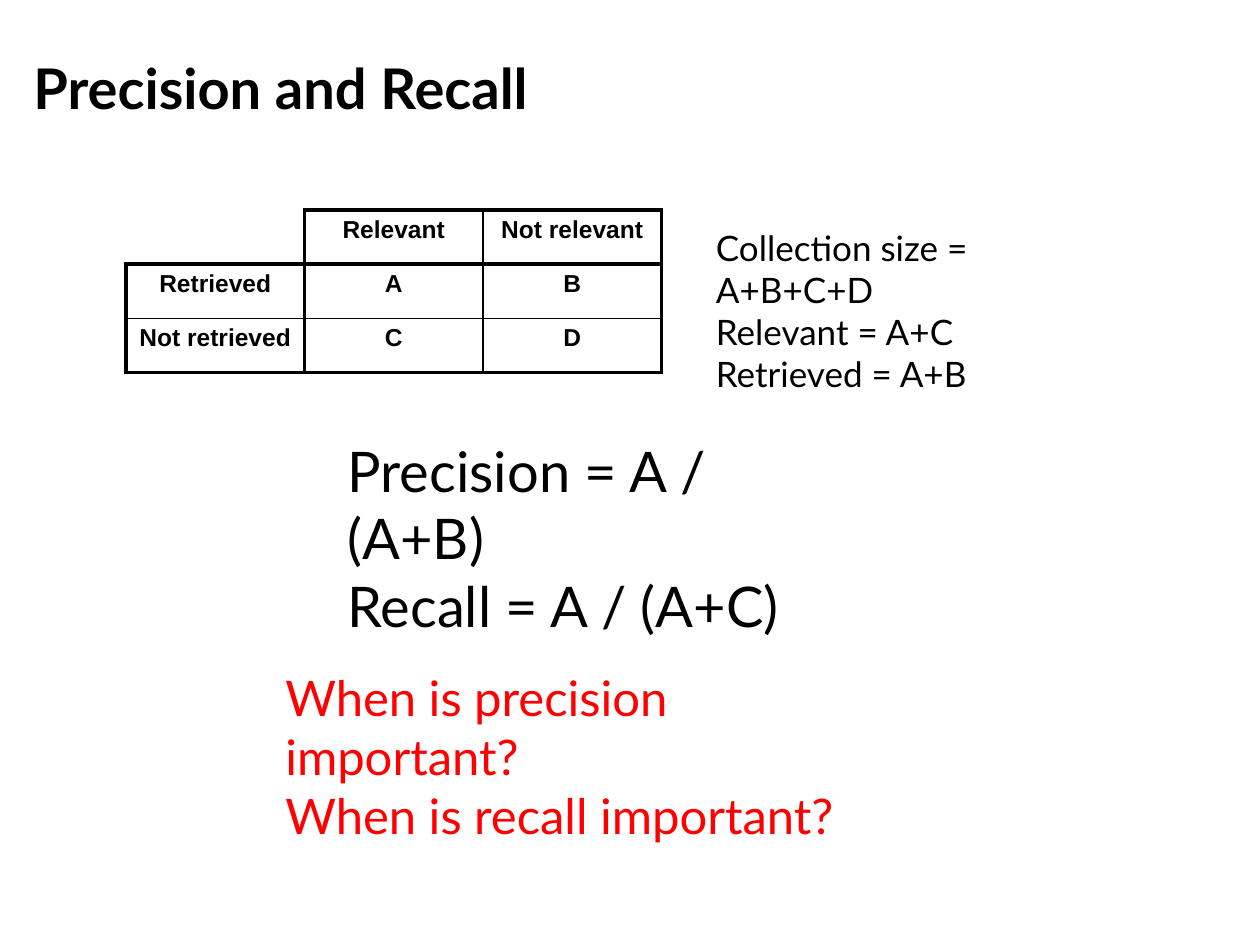
from lxml import etree
from pptx import Presentation
from pptx.dml.color import RGBColor
from pptx.enum.text import MSO_ANCHOR, PP_ALIGN
from pptx.oxml.ns import qn
from pptx.util import Pt

BLACK, WHITE, RED = "000000", "FFFFFF", "FF0000"
THICK, THIN = 2.25, 1


def color(hex_text):
    """Turn a hex string into a colour."""
    return RGBColor.from_string(hex_text)


def set_border(cell, side, width):
    """Draw one cell border (L, R, T or B); zero width means none."""
    line = etree.Element(qn(f"a:ln{side}"), w=str(int(Pt(width))))
    if width:
        fill = etree.SubElement(line, qn("a:solidFill"))
        etree.SubElement(fill, qn("a:srgbClr"), val=BLACK)
    else:
        etree.SubElement(line, qn("a:noFill"))
    properties = cell._tc.get_or_add_tcPr()
    properties.insert(len(properties.findall("*")), line)


class SlideBuilder:
    """Holds the text style and the current slide."""

    text_font = "Lato"
    table_font = "Arial"

    def __init__(self, slide):
        """Keep the slide that elements are added to."""
        self.slide = slide

    def style_run(self, run, font, size, hex_text, bold=False):
        """Apply font, size, colour and weight to a run."""
        run.font.name = font
        run.font.size = Pt(size)
        run.font.bold = bold
        run.font.color.rgb = color(hex_text)

    def text(self, box, lines, size, hex_text=BLACK, bold=False,
             anchor=MSO_ANCHOR.TOP):
        """Add a text box with one paragraph per line."""
        frame = self.slide.shapes.add_textbox(*map(Pt, box)).text_frame
        frame.word_wrap = True
        frame.vertical_anchor = anchor
        for index, line in enumerate(lines):
            paragraph = frame.add_paragraph() if index else frame.paragraphs[0]
            run = paragraph.add_run()
            run.text = line
            self.style_run(run, self.text_font, size, hex_text, bold)

    def matrix(self, box, rows, size):
        """Add a table whose top left corner cell is open."""
        count = len(rows)
        frame = self.slide.shapes.add_table(count, len(rows[0]), *map(Pt, box))
        table = frame.table
        table.first_row = table.horz_banding = False
        rules = [THICK, THICK] + [THIN] * (count - 2) + [THICK]
        for r, row in enumerate(rows):
            for c, label in enumerate(row):
                cell = table.cell(r, c)
                corner = r == c == 0
                set_border(cell, "L", 0 if corner else rules[c])
                set_border(cell, "R", rules[c + 1])
                set_border(cell, "T", 0 if corner else rules[r])
                set_border(cell, "B", rules[r + 1])
                cell.fill.solid()
                cell.fill.fore_color.rgb = color(WHITE)
                if label:
                    paragraph = cell.text_frame.paragraphs[0]
                    paragraph.alignment = PP_ALIGN.CENTER
                    run = paragraph.add_run()
                    run.text = label
                    self.style_run(run, self.table_font, size, BLACK, True)


deck = Presentation()
deck.slide_width, deck.slide_height = Pt(720), Pt(540)
page = SlideBuilder(deck.slides.add_slide(deck.slide_layouts[6]))

page.text((12, 9, 684, 81), ["Precision and Recall"], 32, bold=True,
          anchor=MSO_ANCHOR.MIDDLE)
page.matrix((72, 120, 306, 93), [
    ["", "Relevant", "Not relevant"],
    ["Retrieved", "A", "B"],
    ["Not retrieved", "C", "D"],
], 14)
page.text((402, 126, 246, 80), [
    "Collection size = A+B+C+D", "Relevant = A+C", "Retrieved = A+B"], 20)
page.text((156, 378, 354, 75), [
    "When is precision important?", "When is recall important?"], 28, RED)
page.text((191.5, 246, 295, 85), [
    "Precision = A / (A+B)", "Recall = A / (A+C)"], 32)

deck.save("out.pptx")
